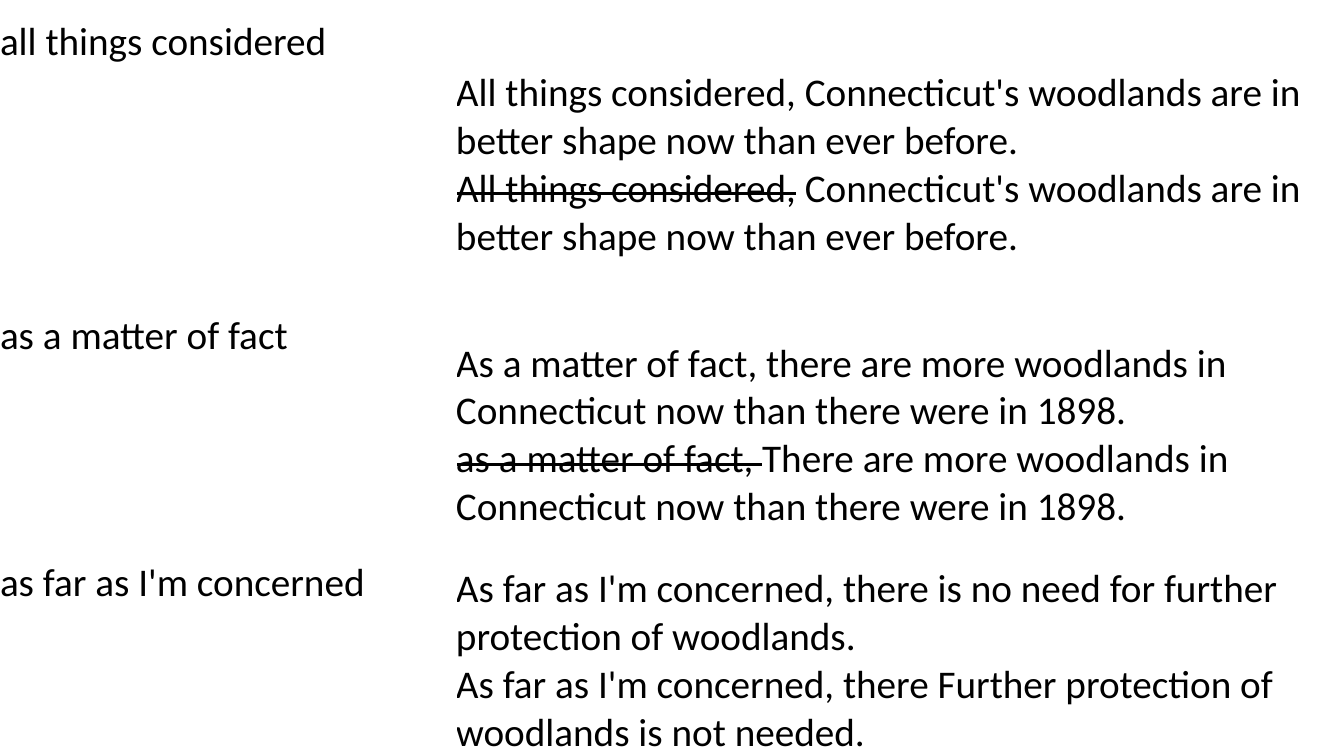
from pptx import Presentation
from pptx import util as u
from pptx.dml import color
from pptx.enum import text

PX = 914400 / 100.8


def px(length):
    return u.Emu(round(length * PX))


def rgb(value):
    return color.RGBColor.from_string(value)


FONT = {"name": "Calibri", "size": u.Pt(28), "bold": False}
MARGINS = {"margin_left": 0, "margin_right": 0, "margin_top": 0, "margin_bottom": 0}
COLUMN_WIDTHS = [456, 846]

# Row height, phrase, first sentence, struck words, revised sentence
PHRASES = [
    (294, "all things considered",
     "All things considered, Connecticut's woodlands are in better shape now than ever before.",
     "All things considered,",
     " Connecticut's woodlands are in better shape now than ever before."),
    (247, "as a matter of fact",
     "As a matter of fact, there are more woodlands in Connecticut now than there were in 1898.",
     "as a matter of fact, ",
     "There are more woodlands in Connecticut now than there were in 1898."),
    (204, "as far as I'm concerned",
     "As far as I'm concerned, there is no need for further protection of woodlands.",
     "",
     "As far as I'm concerned, there Further protection of woodlands is not needed."),
]

# Slide
presentation = Presentation()
presentation.slide_width = px(1344)
presentation.slide_height = px(756)
slide = presentation.slides.add_slide(presentation.slide_layouts[6])

# Table without header or banding
total_height = sum(row[0] for row in PHRASES)
table = slide.shapes.add_table(
    len(PHRASES), len(COLUMN_WIDTHS), 0, px(18), px(sum(COLUMN_WIDTHS)), px(total_height)
).table
table.first_row = False
table.horz_banding = False
for column, width in zip(table.columns, COLUMN_WIDTHS):
    column.width = px(width)

# Phrases on the left, example and revision on the right
for row_index, (height, phrase, example, struck, revision) in enumerate(PHRASES):
    table.rows[row_index].height = px(height)
    contents = [
        (text.MSO_ANCHOR.TOP, [phrase]),
        (text.MSO_ANCHOR.MIDDLE, [example, "\n", struck, revision]),
    ]
    for column_index, (anchor, pieces) in enumerate(contents):
        cell = table.cell(row_index, column_index)
        cell.fill.background()
        for name, value in {**MARGINS, "vertical_anchor": anchor}.items():
            setattr(cell, name, value)
        paragraph = cell.text_frame.paragraphs[0]
        for piece in filter(None, pieces):
            if piece == "\n":
                paragraph.add_line_break()
                continue
            run = paragraph.add_run()
            run.text = piece
            for name, value in FONT.items():
                setattr(run.font, name, value)
            run.font.color.rgb = rgb("000000")
            if piece == struck:
                run._r.get_or_add_rPr().set("strike", "sngStrike")

presentation.save("out.pptx")
